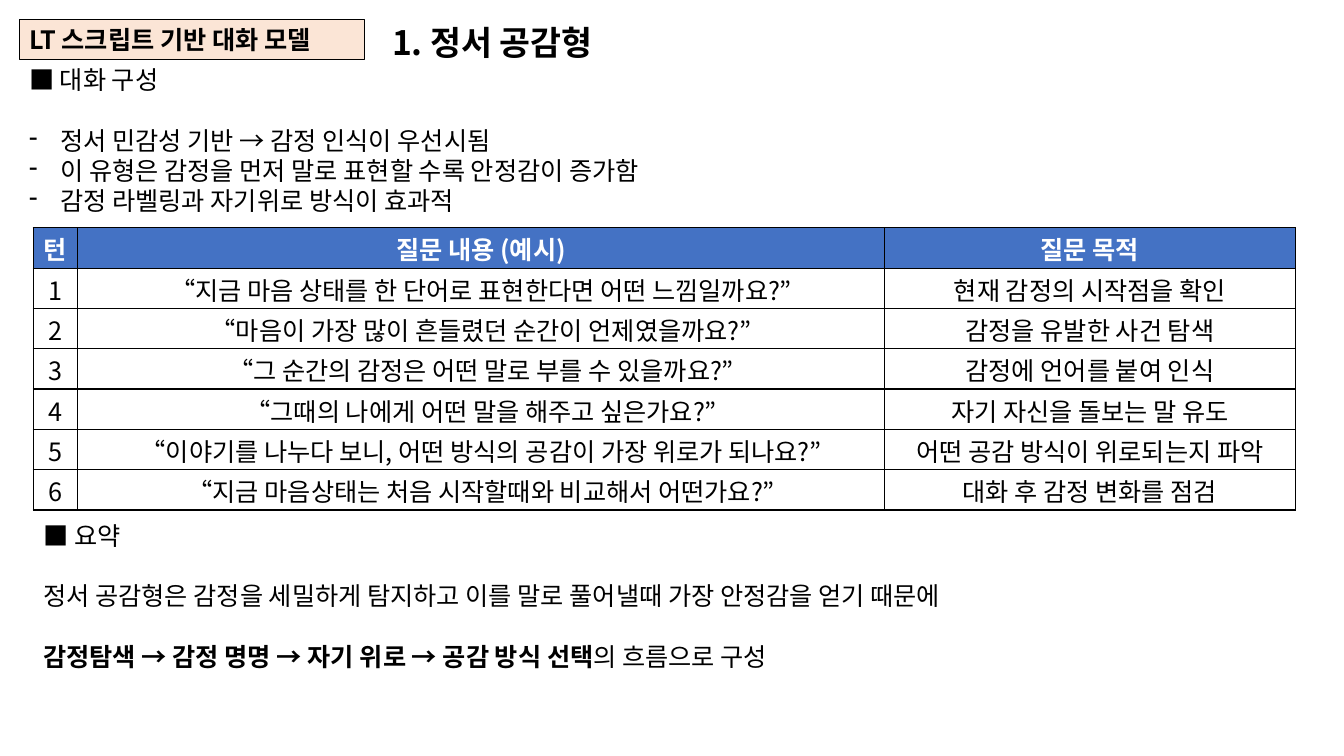
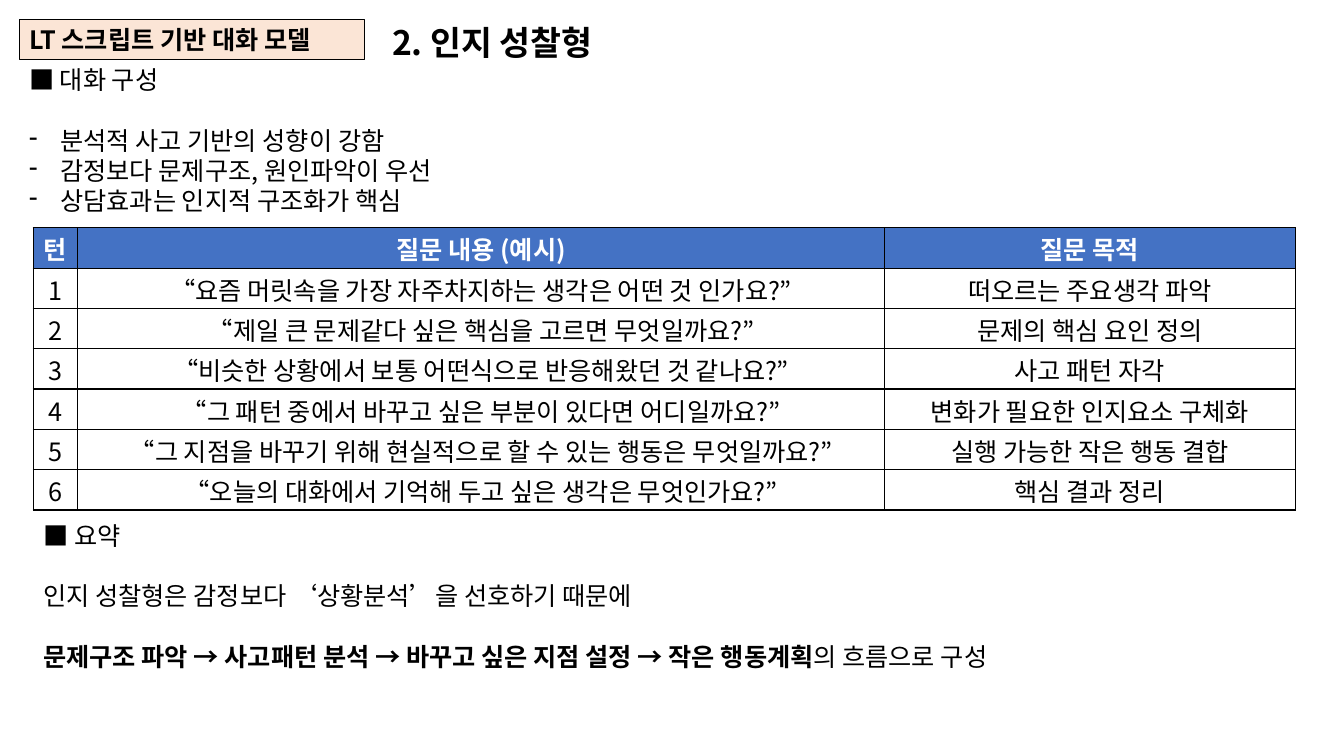
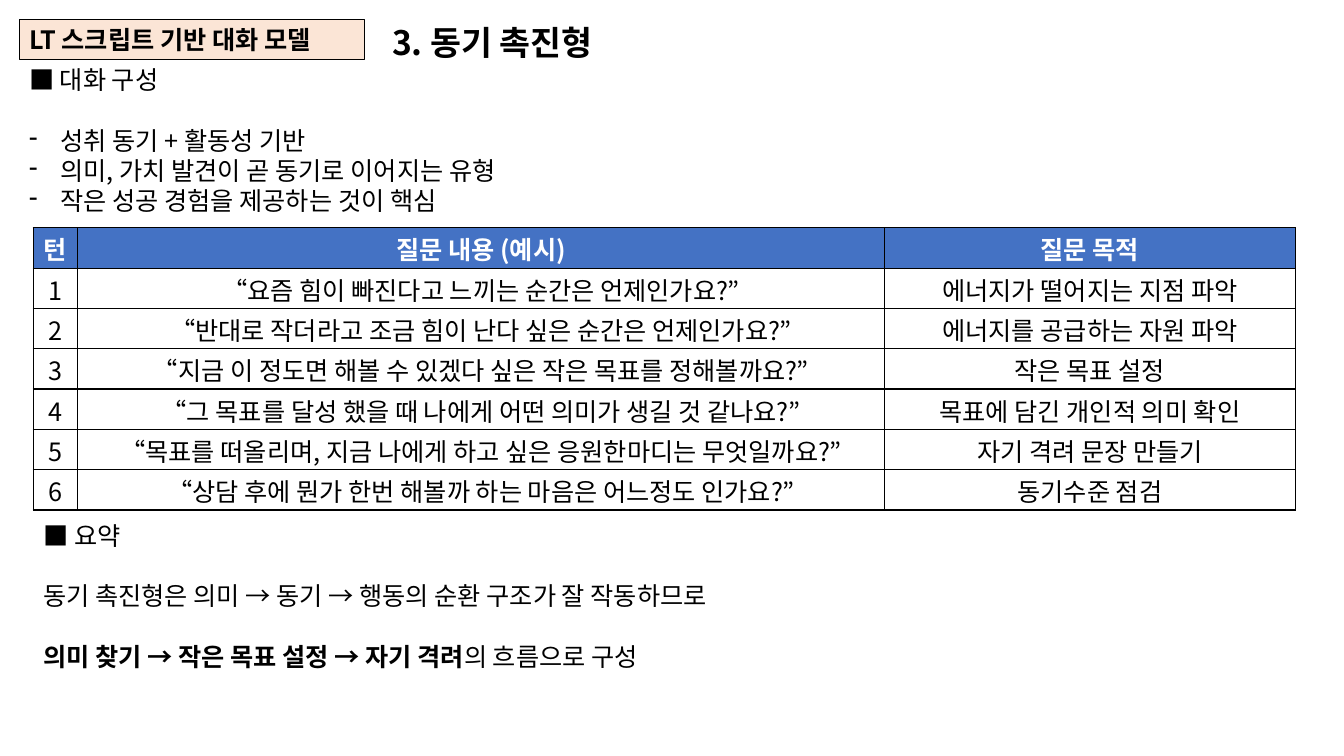
from lxml import etree
from pptx import Presentation
from pptx.dml.color import RGBColor
from pptx.enum.shapes import MSO_SHAPE
from pptx.enum.text import MSO_ANCHOR, PP_ALIGN
from pptx.oxml.ns import qn
from pptx.util import Inches, Pt

RECT = MSO_SHAPE.RECTANGLE
MIDDLE = MSO_ANCHOR.MIDDLE
LEFT = PP_ALIGN.LEFT
CENTER = PP_ALIGN.CENTER
BLACK = RGBColor(0, 0, 0)
WHITE = RGBColor(255, 255, 255)
PEACH = RGBColor(0xFB, 0xE5, 0xD6)
BLUE = RGBColor(0x44, 0x72, 0xC4)
FONT = "Noto Sans CJK KR"
BODY = 18
TITLE = 24
LEADING = 1.2
COLS = (0.44, 8, 4.08)
ROW = 0.4
HEAD = ("턴", "질문 내용 (예시)", "질문 목적")
TOPICS = [
    {
        "title": "1. 정서 공감형",
        "points": [
            "정서 민감성 기반 → 감정 인식이 우선시됨",
            "이 유형은 감정을 먼저 말로 표현할 수록 안정감이 증가함",
            "감정 라벨링과 자기위로 방식이 효과적",
        ],
        "turns": [
            ("“지금 마음 상태를 한 단어로 표현한다면 어떤 느낌일까요?”", "현재 감정의 시작점을 확인"),
            ("“마음이 가장 많이 흔들렸던 순간이 언제였을까요?”", "감정을 유발한 사건 탐색"),
            ("“그 순간의 감정은 어떤 말로 부를 수 있을까요?”", "감정에 언어를 붙여 인식"),
            ("“그때의 나에게 어떤 말을 해주고 싶은가요?”", "자기 자신을 돌보는 말 유도"),
            ("“이야기를 나누다 보니, 어떤 방식의 공감이 가장 위로가 되나요?”", "어떤 공감 방식이 위로되는지 파악"),
            ("“지금 마음상태는 처음 시작할때와 비교해서 어떤가요?”", "대화 후 감정 변화를 점검"),
        ],
        "reason": "정서 공감형은 감정을 세밀하게 탐지하고 이를 말로 풀어낼때 가장 안정감을 얻기 때문에",
        "flow": "감정탐색 → 감정 명명 → 자기 위로 → 공감 방식 선택",
    },
    {
        "title": "2. 인지 성찰형",
        "points": [
            "분석적 사고 기반의 성향이 강함",
            "감정보다 문제구조, 원인파악이 우선",
            "상담효과는 인지적 구조화가 핵심",
        ],
        "turns": [
            ("“요즘 머릿속을 가장 자주차지하는 생각은 어떤 것 인가요?”", "떠오르는 주요생각 파악"),
            ("“제일 큰 문제같다 싶은 핵심을 고르면 무엇일까요?”", "문제의 핵심 요인 정의"),
            ("“비슷한 상황에서 보통 어떤식으로 반응해왔던 것 같나요?”", "사고 패턴 자각"),
            ("“그 패턴 중에서 바꾸고 싶은 부분이 있다면 어디일까요?”", "변화가 필요한 인지요소 구체화"),
            ("“그 지점을 바꾸기 위해 현실적으로 할 수 있는 행동은 무엇일까요?”", "실행 가능한 작은 행동 결합"),
            ("“오늘의 대화에서 기억해 두고 싶은 생각은 무엇인가요?”", "핵심 결과 정리"),
        ],
        "reason": "인지 성찰형은 감정보다 ‘상황분석’을 선호하기 때문에",
        "flow": "문제구조 파악 → 사고패턴 분석 → 바꾸고 싶은 지점 설정 → 작은 행동계획",
    },
    {
        "title": "3. 동기 촉진형",
        "points": [
            "성취 동기 + 활동성 기반",
            "의미, 가치 발견이 곧 동기로 이어지는 유형",
            "작은 성공 경험을 제공하는 것이 핵심",
        ],
        "turns": [
            ("“요즘 힘이 빠진다고 느끼는 순간은 언제인가요?”", "에너지가 떨어지는 지점 파악"),
            ("“반대로 작더라고 조금 힘이 난다 싶은 순간은 언제인가요?”", "에너지를 공급하는 자원 파악"),
            ("“지금 이 정도면 해볼 수 있겠다 싶은 작은 목표를 정해볼까요?”", "작은 목표 설정"),
            ("“그 목표를 달성 했을 때 나에게 어떤 의미가 생길 것 같나요?”", "목표에 담긴 개인적 의미 확인"),
            ("“목표를 떠올리며, 지금 나에게 하고 싶은 응원한마디는 무엇일까요?”", "자기 격려 문장 만들기"),
            ("“상담 후에 뭔가 한번 해볼까 하는 마음은 어느정도 인가요?”", "동기수준 점검"),
        ],
        "reason": "동기 촉진형은 의미 → 동기 → 행동의 순환 구조가 잘 작동하므로",
        "flow": "의미 찾기 → 작은 목표 설정 → 자기 격려",
    },
]


def add_run(para, text, size=BODY, bold=False, color=BLACK):
    run = para.add_run()
    run.text = text
    font = run.font
    font.size = Pt(size)
    font.bold = bold
    font.color.rgb = color
    font.name = FONT
    east = etree.SubElement(run._r.get_or_add_rPr(), qn("a:ea"))
    east.set("typeface", FONT)


def set_para(para, size=BODY, align=LEFT, gap=0):
    para.alignment = align
    para.line_spacing = Pt(size * LEADING)
    para.space_before = Pt(gap)


def add_para(frame, text, gap=0):
    para = frame.add_paragraph()
    set_para(para, gap=gap)
    add_run(para, text)
    return para


def add_dash(para):
    props = para._p.get_or_add_pPr()
    props.set("marL", str(Inches(0.31)))
    props.set("indent", str(Inches(-0.31)))
    etree.SubElement(props, qn("a:buChar")).set("char", "-")


def add_box(slide, x, y, w, h, text, size=BODY, bold=False):
    box = slide.shapes.add_textbox(Inches(x), Inches(y), Inches(w), Inches(h))
    frame = box.text_frame
    frame.word_wrap = True
    para = frame.paragraphs[0]
    set_para(para, size)
    add_run(para, text, size, bold)
    return frame


def add_label(slide):
    label = slide.shapes.add_shape(RECT, Inches(0.19), Inches(0.19), Inches(3.43), Inches(0.4))
    label.shadow.inherit = False
    label.fill.solid()
    label.fill.fore_color.rgb = PEACH
    label.line.color.rgb = BLACK
    label.line.width = Pt(0.75)
    frame = label.text_frame
    frame.word_wrap = True
    frame.vertical_anchor = MIDDLE
    para = frame.paragraphs[0]
    set_para(para)
    add_run(para, "LT 스크립트 기반 대화 모델", bold=True)


def add_edges(cell):
    props = cell._tc.get_or_add_tcPr()
    for spot, side in enumerate(("lnL", "lnR", "lnT", "lnB")):
        line = etree.Element(qn("a:" + side), w=str(Pt(1)))
        fill = etree.SubElement(line, qn("a:solidFill"))
        etree.SubElement(fill, qn("a:srgbClr"), val=str(BLACK))
        props.insert(spot, line)


def set_cell(cell, text, head):
    cell.vertical_anchor = MIDDLE
    cell.margin_top = Inches(0.09)
    cell.margin_bottom = Inches(0.01)
    if head:
        cell.fill.solid()
        cell.fill.fore_color.rgb = BLUE
    else:
        cell.fill.background()
    add_edges(cell)
    para = cell.text_frame.paragraphs[0]
    set_para(para, align=CENTER)
    add_run(para, text, bold=head, color=WHITE if head else BLACK)


def add_turns(slide, turns):
    rows = [HEAD] + [(str(n), *turn) for n, turn in enumerate(turns, 1)]
    frame = slide.shapes.add_table(
        len(rows), len(COLS), Inches(0.33), Inches(2.26),
        Inches(sum(COLS)), Inches(ROW * len(rows)))
    table = frame.table
    for col, width in zip(table.columns, COLS):
        col.width = Inches(width)
    for r, row in enumerate(rows):
        table.rows[r].height = Inches(ROW)
        for c, text in enumerate(row):
            set_cell(table.cell(r, c), text, r == 0)


def add_points(slide, points):
    frame = add_box(slide, 0.19, 0.59, 8.99, 1.62, "■ 대화 구성")
    for n, point in enumerate(points):
        para = add_para(frame, point, 0 if n else BODY * LEADING)
        add_dash(para)


def add_recap(slide, reason, flow):
    frame = add_box(slide, 0.33, 5.11, 12.19, 1.62, "■ 요약")
    add_para(frame, reason, BODY * LEADING)
    para = frame.add_paragraph()
    set_para(para, gap=BODY * LEADING)
    add_run(para, flow, bold=True)
    add_run(para, "의 흐름으로 구성")


def add_topic(deck, topic):
    slide = deck.slides.add_slide(deck.slide_layouts[6])
    add_label(slide)
    add_box(slide, 3.79, 0.17, 2.41, 0.5, topic["title"], TITLE, True)
    add_points(slide, topic["points"])
    add_turns(slide, topic["turns"])
    add_recap(slide, topic["reason"], topic["flow"])


def main():
    deck = Presentation()
    deck.slide_width = Inches(13.33)
    deck.slide_height = Inches(7.5)
    for topic in TOPICS:
        add_topic(deck, topic)
    deck.save("out.pptx")


if __name__ == "__main__":
    main()
